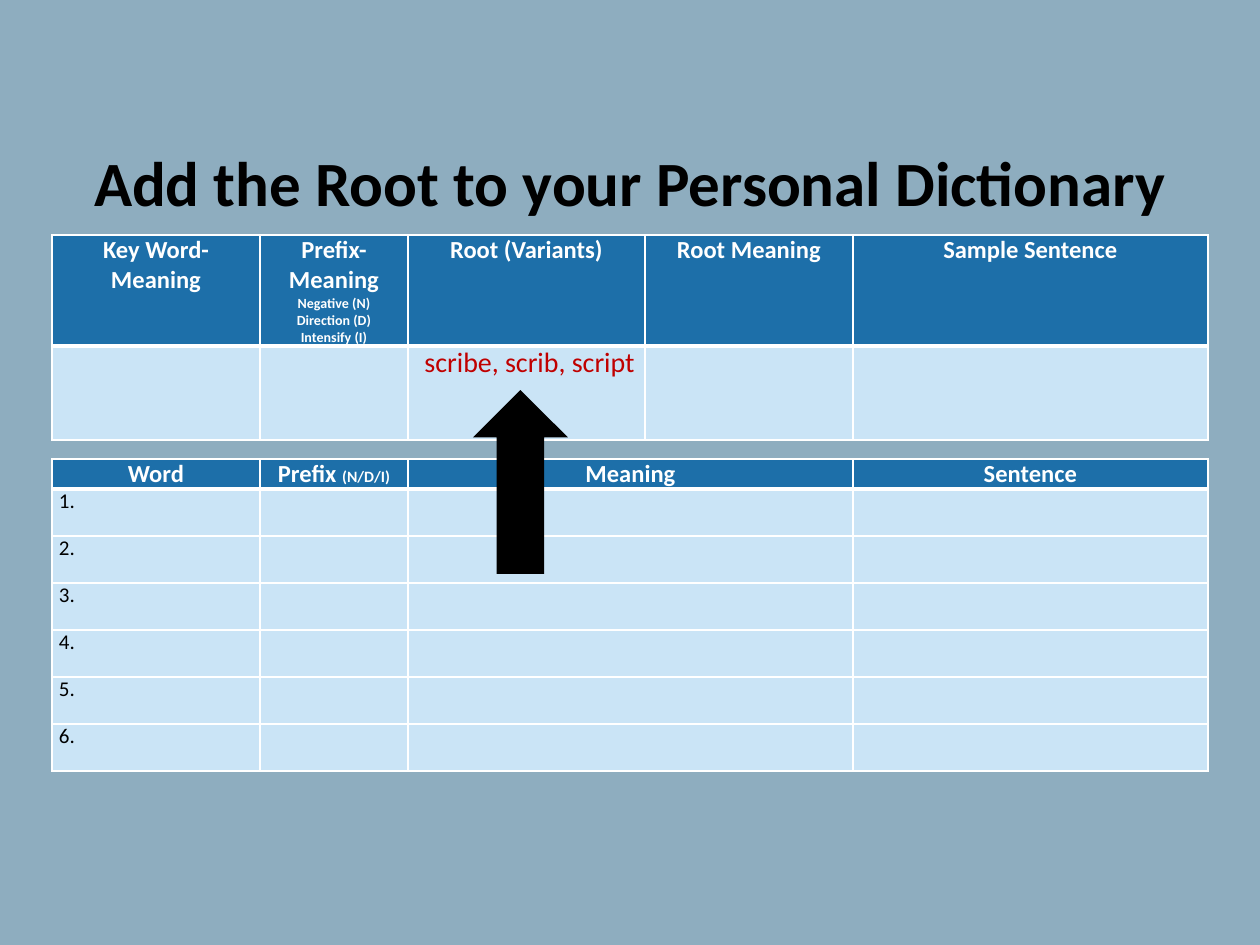
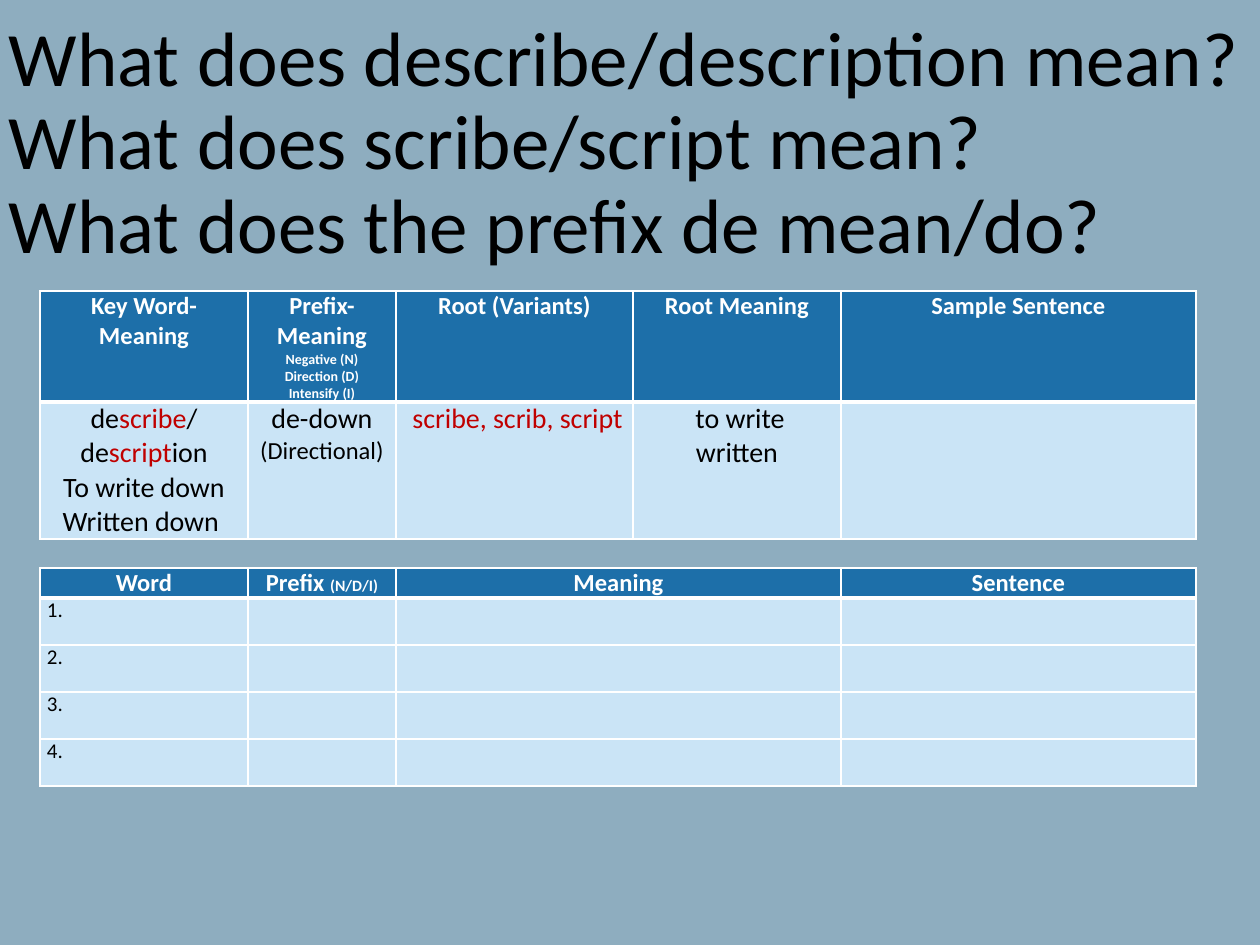
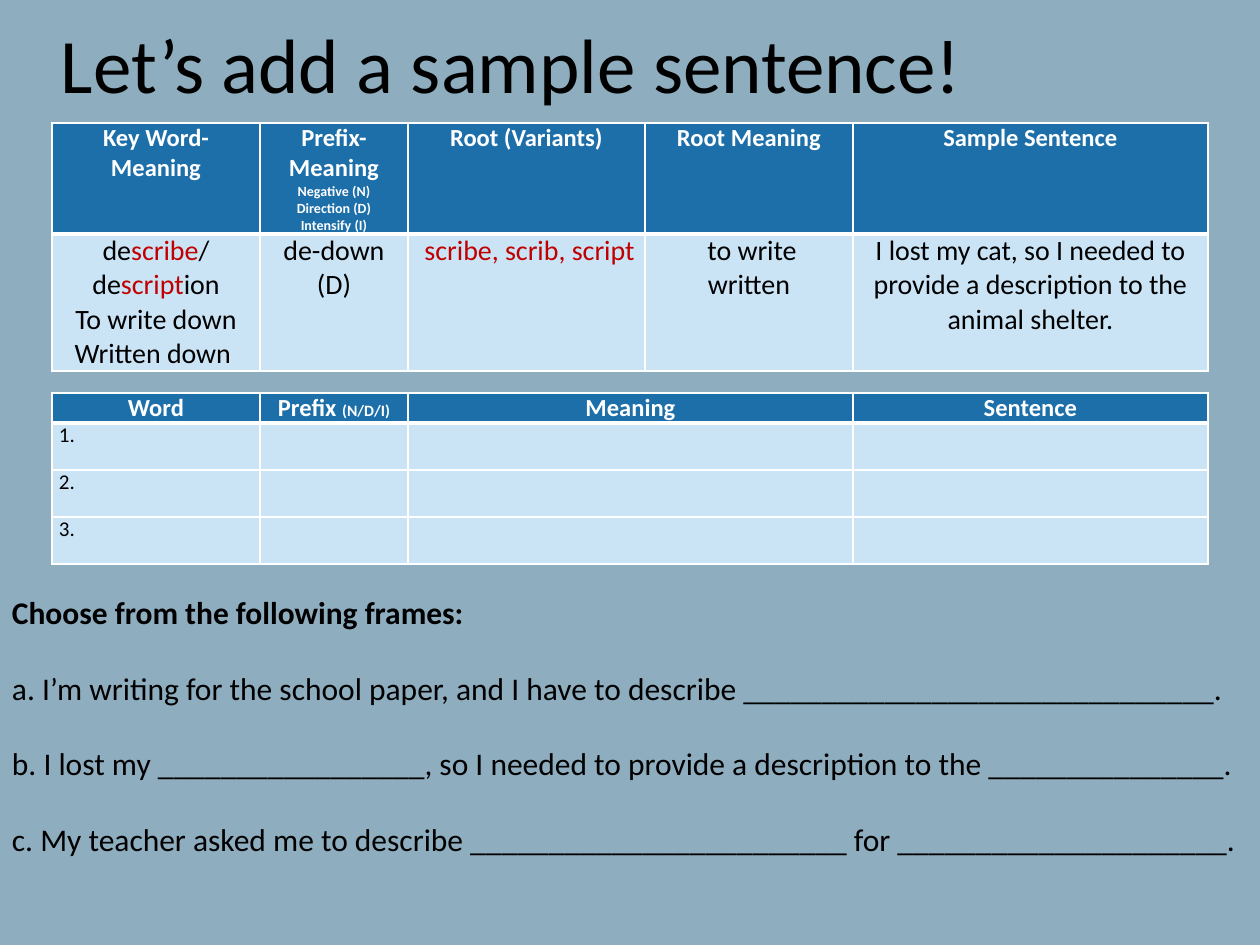
"""Build three slides on adding a word root to a personal dictionary."""
from lxml import etree
from pptx import Presentation
from pptx.dml.color import RGBColor
from pptx.enum.shapes import MSO_SHAPE
from pptx.enum.text import MSO_ANCHOR, PP_ALIGN
from pptx.oxml.ns import qn
from pptx.util import Pt

LEFT, CENTER = PP_ALIGN.LEFT, PP_ALIGN.CENTER
TOP, MIDDLE = MSO_ANCHOR.TOP, MSO_ANCHOR.MIDDLE
UP_ARROW = MSO_SHAPE.UP_ARROW

PX = 914400 / 126
FONT = "Calibri"
COLORS = {
    "background": "8EADBF",
    "header": "1D6FA9",
    "body": "CAE4F6",
    "border": "FFFFFF",
    "light": "FFFFFF",
    "dark": "000000",
    "root": "C00000",
}
FORMATS = {
    "title": ("dark", {"size": Pt(36), "bold": True}),
    "question": ("dark", {"size": Pt(44), "bold": False}),
    "header": ("light", {"size": Pt(14), "bold": True}),
    "header note": ("light", {"size": Pt(9), "bold": True}),
    "header key": ("light", {"size": Pt(8), "bold": True}),
    "body": ("dark", {"size": Pt(16), "bold": False}),
    "body small": ("dark", {"size": Pt(14), "bold": False}),
    "root": ("root", {"size": Pt(16), "bold": False}),
    "number": ("dark", {"size": Pt(12), "bold": False}),
    "frame": ("dark", {"size": Pt(18), "bold": False}),
    "frame head": ("dark", {"size": Pt(18), "bold": True}),
}

ROOT_COLUMNS = [208, 148, 237, 208, 355]
WORD_COLUMNS = [208, 148, 445, 355]
HEADER_HEIGHT, WORD_HEADER_HEIGHT, WORD_ROW_HEIGHT = 111, 30, 47


def px(length):
    """Turn a length in px into EMU."""
    return round(length * PX)


def rgb(name):
    """Look up a named colour."""
    return RGBColor.from_string(COLORS[name])


def lines(style, *texts):
    """Make one single-span paragraph per text."""
    return [[(text, style)] for text in texts]


ROOT_HEADER = [
    lines("header", "Key Word- Meaning"),
    lines("header", "Prefix-Meaning")
    + lines("header key", "Negative (N)", "Direction (D)", "Intensify (I)"),
    lines("header", "Root (Variants)"),
    lines("header", "Root Meaning"),
    lines("header", "Sample Sentence"),
]
WORD_HEADER = [
    lines("header", "Word"),
    [[("Prefix ", "header"), ("(N/D/I)", "header note")]],
    lines("header", "Meaning"),
    lines("header", "Sentence"),
]
KEY_WORD = [
    [("de", "body"), ("scribe", "root"), ("/", "body")],
    [("de", "body"), ("script", "root"), ("ion", "body")],
] + lines("body", "To write down", "Written down ")
ROOT = lines("root", " scribe, scrib, script")
ROOT_MEANING = lines("body", " to write", "written")
PREFIX = lines("body", " de-down ")


def write_text(frame, paragraphs, align, spacing=None):
    """Fill a text frame with paragraphs of formatted spans."""
    for index, spans in enumerate(paragraphs):
        para = frame.paragraphs[0] if index == 0 else frame.add_paragraph()
        para.alignment = align
        para.line_spacing = spacing
        for text, style in spans:
            span = para.add_run()
            span.text = text
            color, values = FORMATS[style]
            for name, value in values.items():
                setattr(span.font, name, value)
            span.font.name = FONT
            span.font.color.rgb = rgb(color)


def add_page(deck):
    """Add a blank page with the shared background."""
    page = deck.slides.add_slide(deck.slide_layouts[6])
    page.background.fill.solid()
    page.background.fill.fore_color.rgb = rgb("background")
    return page


def add_text(page, place, paragraphs, insets, anchor, align=LEFT, spacing=None):
    """Add a wrapping text box and return its frame."""
    frame = page.shapes.add_textbox(*map(px, place)).text_frame
    frame.word_wrap = True
    frame.vertical_anchor = anchor
    for side, inset in zip(("left", "top", "right", "bottom"), insets):
        setattr(frame, f"margin_{side}", px(inset))
    write_text(frame, paragraphs, align, spacing)
    return frame


def add_title(page, place, paragraphs, align=LEFT):
    """Add a title centred vertically in its box."""
    add_text(page, place, paragraphs, (9, 5, 9, 5), MIDDLE, align, 0.9)


def add_borders(cell, top, bottom):
    """Draw the four borders of a cell, with widths in points."""
    properties = cell._tc.get_or_add_tcPr()
    for side, width in (("L", 1), ("R", 1), ("T", top), ("B", bottom)):
        line = etree.SubElement(properties, qn(f"a:ln{side}"), w=str(Pt(width)))
        fill = etree.SubElement(line, qn("a:solidFill"))
        etree.SubElement(fill, qn("a:srgbClr"), val=COLORS["border"])


def add_grid(page, left, top, columns, heights, rows, body_align):
    """Add a table with a header row and light body rows."""
    size = (sum(columns), sum(heights))
    shape = page.shapes.add_table(
        len(rows), len(columns), *map(px, (left, top, *size)))
    table = shape.table
    table.horz_banding = False
    for column, width in zip(table.columns, columns):
        column.width = px(width)
    for index, (height, contents) in enumerate(zip(heights, rows)):
        table.rows[index].height = px(height)
        is_header = index == 0
        for cell, paragraphs in zip(table.rows[index].cells, contents):
            cell.margin_left = cell.margin_right = px(7)
            cell.margin_top = cell.margin_bottom = 0
            add_borders(cell, 3 if index == 1 else 1, 3 if is_header else 1)
            cell.fill.solid()
            cell.fill.fore_color.rgb = rgb("header" if is_header else "body")
            write_text(cell.text_frame, paragraphs,
                       CENTER if is_header else body_align)


def add_root_table(page, left, top, body_height, entries):
    """Add the table that explains the root."""
    add_grid(page, left, top, ROOT_COLUMNS, [HEADER_HEIGHT, body_height],
             [ROOT_HEADER, entries], CENTER)


def add_word_table(page, left, top, count):
    """Add the table with numbered rows for new words."""
    heights = [WORD_HEADER_HEIGHT] + [WORD_ROW_HEIGHT] * count
    rows = [[lines("number", f"{number}."), [], [], []]
            for number in range(1, count + 1)]
    add_grid(page, left, top, WORD_COLUMNS, heights, [WORD_HEADER] + rows, LEFT)


def add_arrow(page, place):
    """Add a solid arrow pointing up."""
    arrow = page.shapes.add_shape(UP_ARROW, *map(px, place))
    arrow.shadow.inherit = False
    arrow.fill.solid()
    arrow.fill.fore_color.rgb = rgb("dark")
    arrow.line.fill.background()


def add_frames(page, place, heading, frames):
    """Add the sentence frames below their heading."""
    frame = add_text(page, place,
                     lines("frame head", heading) + lines("frame", *frames),
                     (12, 6, 0, 6), TOP)
    for para in frame.paragraphs[1:]:
        para.space_before = Pt(21.6)


def build_root_page(deck):
    """Build the page that introduces the root."""
    page = add_page(deck)
    add_title(page, (0, 118, 1260, 137),
              lines("title", "Add the Root to your Personal Dictionary"), CENTER)
    add_root_table(page, 52, 235, 94, [[], [], ROOT, [], []])
    add_word_table(page, 52, 459, 6)
    add_arrow(page, (473, 390, 95, 184))


def build_meaning_page(deck):
    """Build the page that asks for meanings."""
    page = add_page(deck)
    add_title(page, (0, 15, 1260, 260), lines(
        "question",
        "What does describe/description mean?",
        "What does scribe/script mean?",
        "What does the prefix de mean/do?",
    ))
    prefix = PREFIX + lines("body small", "(Directional)")
    add_root_table(page, 40, 291, 137,
                   [KEY_WORD, prefix, ROOT, ROOT_MEANING, []])
    add_word_table(page, 40, 568, 4)


def build_sentence_page(deck):
    """Build the page that adds a sample sentence."""
    page = add_page(deck)
    add_title(page, (52, 0, 1156, 137),
              lines("question", "Let’s add a sample sentence!"))
    prefix = PREFIX + lines("body", "(D)")
    sentence = lines("body", "I lost my cat, so I needed to provide "
                             "a description to the animal shelter.")
    add_root_table(page, 52, 123, 137,
                   [KEY_WORD, prefix, ROOT, ROOT_MEANING, sentence])
    add_word_table(page, 52, 393, 3)
    add_frames(page, (0, 587, 1260, 280), "Choose from the following frames:", [
        "a. I’m writing for the school paper, and I have to describe "
        "______________________________.",
        "b. I lost my _________________, so I needed to provide "
        "a description to the _______________.",
        "c. My teacher asked me to describe ________________________ "
        "for _____________________.",
    ])


def main():
    """Build and save the deck."""
    deck = Presentation()
    deck.slide_width, deck.slide_height = px(1260), px(945)
    build_root_page(deck)
    build_meaning_page(deck)
    build_sentence_page(deck)
    deck.save("out.pptx")


if __name__ == "__main__":
    main()
